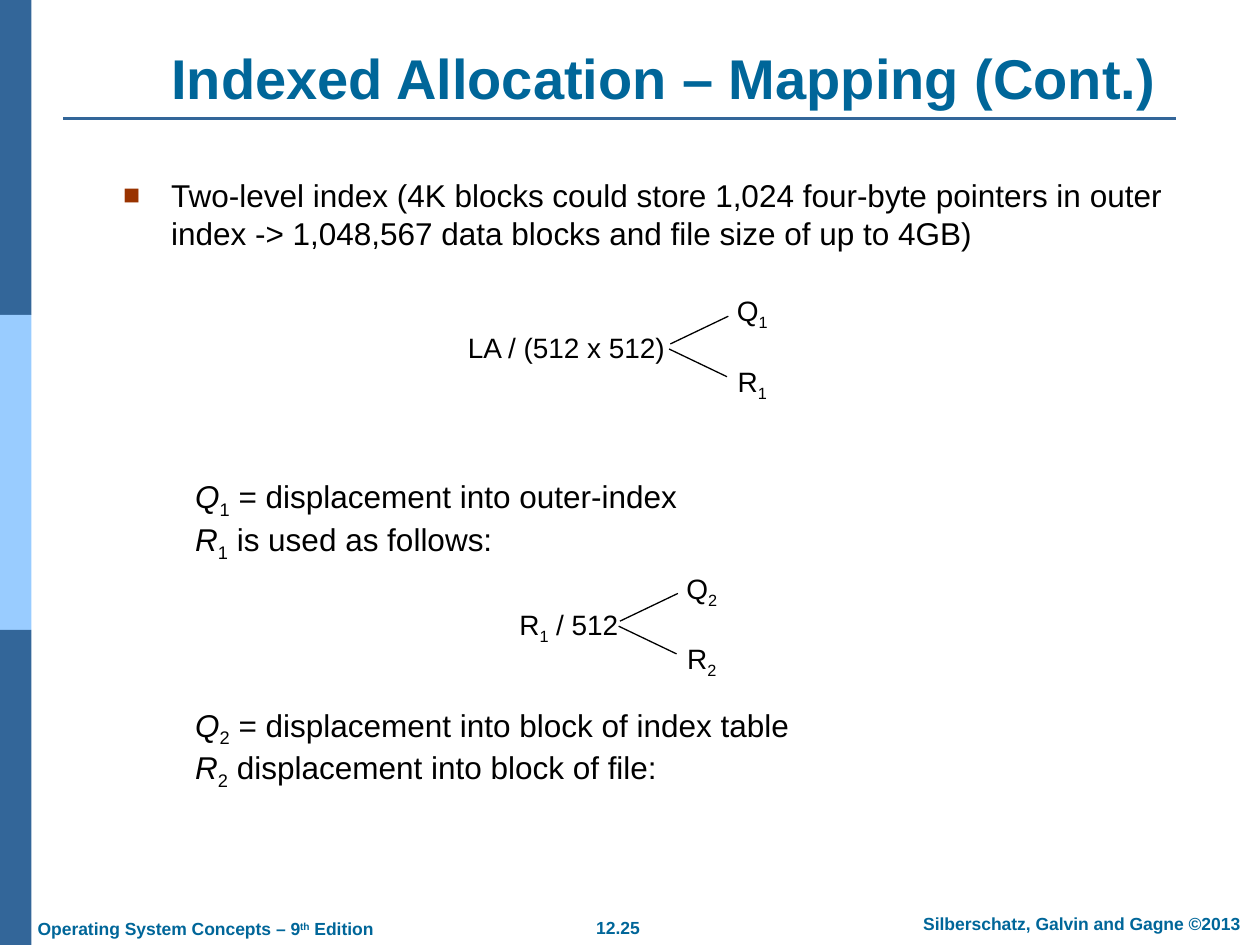
from lxml import etree
from pptx import Presentation
from pptx.dml.color import RGBColor
from pptx.enum.shapes import MSO_CONNECTOR as Connector, MSO_SHAPE as Shape
from pptx.enum.text import MSO_ANCHOR as Anchor, MSO_AUTO_SIZE as AutoSize, PP_ALIGN as Align
from pptx.oxml.ns import qn
from pptx.util import Inches, Pt

TITLE_ONLY = 5


def color(value):
    return RGBColor.from_string(value)


def span(text, **style):
    """A piece of text with its own format, such as italic or baseline."""
    return text, style


def symbol(letter, index, **style):
    """A letter with a subscript."""
    return [span(letter, **style), span(index, baseline=-25)]


def write(para, spans, font="Arial", size=18, hue="000000", bold=False, align=Align.LEFT):
    para.alignment = align
    for text, style in spans:
        run = para.add_run()
        run.text = text
        run.font.name, run.font.size = font, Pt(size)
        run.font.bold, run.font.italic = bold, style.get("italic", False)
        run.font.color.rgb = color(hue)
        if "baseline" in style:
            run._r.get_or_add_rPr().set("baseline", str(style["baseline"] * 1000))


def indent(para, margin, hanging):
    props = para._p.get_or_add_pPr()
    props.set("marL", str(Inches(margin)))
    props.set("indent", str(-Inches(hanging)))
    return props


class SlideBuilder:
    blue, light_blue, teal, rust, black = "336699", "99CCFF", "006699", "993300", "000000"

    def __init__(self, page):
        self.page = page

    def bar(self, top, fill):
        box = self.page.shapes.add_shape(
            Shape.RECTANGLE, Inches(0), Inches(top), Inches(0.25), Inches(2.5))
        box.shadow.inherit = False
        box.fill.solid()
        box.fill.fore_color.rgb = color(fill)
        box.line.fill.background()

    def line(self, start, end, hue, width, shapes=None):
        shapes = shapes or self.page.shapes
        link = shapes.add_connector(
            Connector.STRAIGHT, *(Inches(value) for value in (*start, *end)))
        link.line.color.rgb = color(hue)
        link.line.width = Pt(width)
        etree.SubElement(link._element.spPr, qn("a:effectLst"))

    def title(self, text, left, top, width, height):
        box = self.page.shapes.title
        box.left, box.top = Inches(left), Inches(top)
        box.width, box.height = Inches(width), Inches(height)
        frame = box.text_frame
        frame.word_wrap, frame.auto_size = True, AutoSize.NONE
        frame.vertical_anchor = Anchor.BOTTOM
        write(frame.paragraphs[0], [span(text)], size=32, hue=self.teal,
              bold=True, align=Align.CENTER)

    def text(self, lines, left, top, width, height, wrap=False,
             anchor=Anchor.TOP, shapes=None, **style):
        shapes = shapes or self.page.shapes
        box = shapes.add_textbox(Inches(left), Inches(top), Inches(width), Inches(height))
        frame = box.text_frame
        frame.word_wrap, frame.vertical_anchor = wrap, anchor
        for number, spans in enumerate(lines):
            para = frame.add_paragraph() if number else frame.paragraphs[0]
            write(para, spans, **style)
        return frame.paragraphs

    def bullet(self, text, left, top, width, height):
        para = self.text([[span(text)]], left, top, width, height, wrap=True)[0]
        props = indent(para, 0.38, 0.38)
        hue = etree.SubElement(props, qn("a:buClr"))
        etree.SubElement(hue, qn("a:srgbClr"), val=self.rust)
        etree.SubElement(props, qn("a:buSzPct"), val="90000")
        etree.SubElement(props, qn("a:buFont"), typeface="Arial")
        etree.SubElement(props, qn("a:buChar"), char="■")

    def footer(self, spans, left, top, width, **style):
        self.text([spans], left, top, width, 0.27, size=10, hue=self.teal,
                  bold=True, **style)

    def definitions(self, lines, top):
        for para in self.text(lines, 0.92, top, 7.69, 0.81, wrap=True):
            indent(para, 0.98, 0.45)

    def fork(self, label, index, x, y, label_left, label_top, label_width):
        """A division whose quotient and remainder branch off at (x, y)."""
        shapes = self.page.shapes.add_group_shape().shapes
        style = dict(size=16, align=Align.CENTER, anchor=Anchor.MIDDLE, shapes=shapes)
        self.text([label], label_left, label_top, label_width, 0.37, **style)
        for letter, top in (("Q", y - 0.45), ("R", y + 0.11)):
            self.text([symbol(letter, index)], x + 0.43, top, 0.46, 0.37, **style)
        for shift, offset, rise in ((0.01, -0.02, -0.22), (0, 0.02, 0.22)):
            start = (x + shift, y + offset)
            self.line(start, (start[0] + 0.46, start[1] + rise), self.black, 0.75, shapes)


def main():
    deck = Presentation()
    deck.slide_width, deck.slide_height = Inches(10), Inches(7.5)
    page = deck.slides.add_slide(deck.slide_layouts[TITLE_ONLY])
    slide = SlideBuilder(page)

    # Side bars and title rule
    for number, fill in enumerate((slide.blue, slide.light_blue, slide.blue)):
        slide.bar(2.5 * number, fill)
    slide.line((0.5, 0.94), (9.33, 0.94), slide.blue, 1.5)

    # Footer
    slide.footer([span("12.25")], 4.62, 7.23, 0.57, align=Align.CENTER)
    slide.footer([span("Silberschatz, Galvin and Gagne ©2013")], 7.1, 7.2, 2.97,
                 wrap=True, align=Align.CENTER)
    slide.footer([span("Operating System Concepts – 9"), span("th", baseline=30),
                  span(" Edition")], 0.2, 7.24, 2.89)

    # Title and main point
    slide.title("Indexed Allocation – Mapping (Cont.)", 1.04, 0.3, 8.46, 0.63)
    slide.bullet("Two-level index (4K blocks could store 1,024 four-byte pointers in outer "
                 "index -> 1,048,567 data blocks and file size of up to 4GB)",
                 0.88, 1.35, 9, 0.63)

    # Outer index
    slide.fork([span("LA / (512 x 512)")], "1", 5.31, 2.75, 3.6, 2.57, 1.79)
    slide.definitions([
        [*symbol("Q", "1", italic=True), span(" = displacement into outer-index")],
        [*symbol("R", "1", italic=True), span(" is used as follows:")],
    ], 3.74)

    # Index table
    slide.fork([*symbol("R", "1"), span(" / 512")], "2", 4.91, 4.95, 4.01, 4.79, 1.01)
    slide.definitions([
        [*symbol("Q", "2", italic=True), span(" = displacement into block of index table")],
        [*symbol("R", "2", italic=True), span(" displacement into block of file:")],
    ], 5.55)

    deck.save("out.pptx")


if __name__ == "__main__":
    main()
